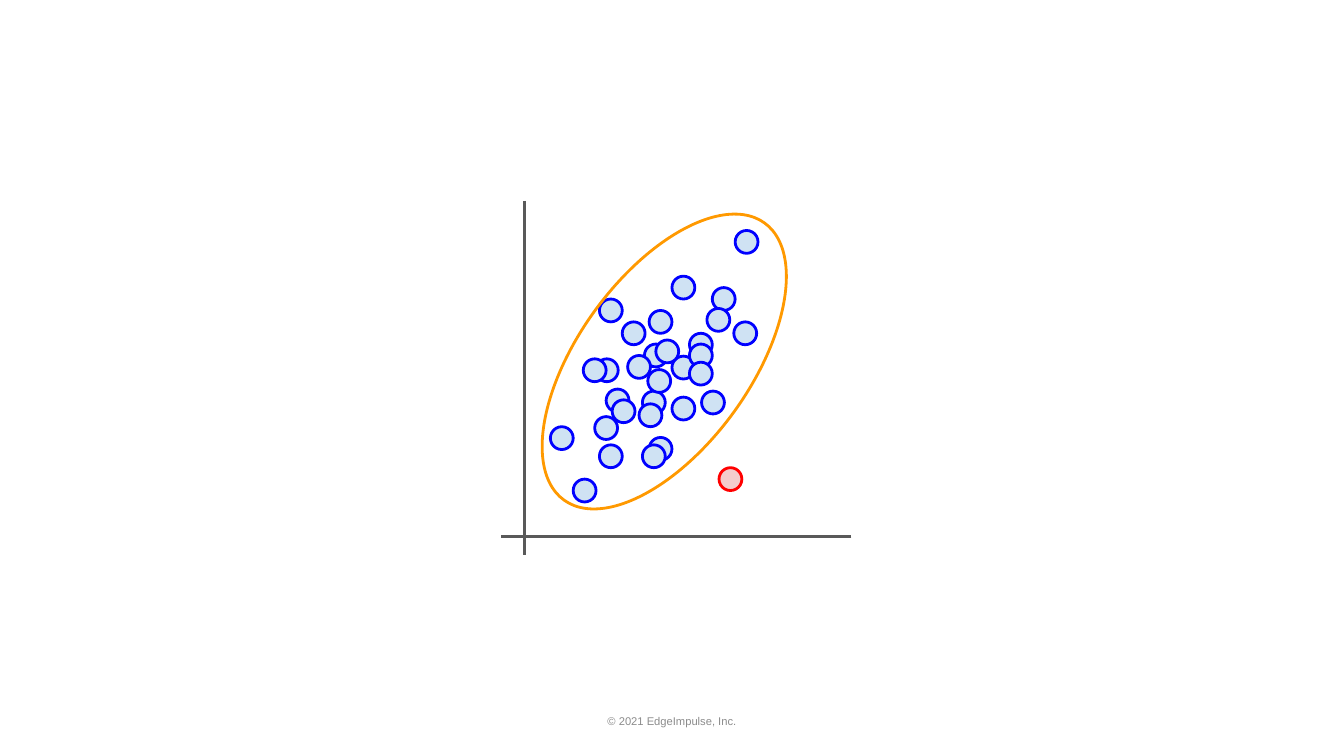
from dataclasses import dataclass

from pptx import Presentation
from pptx.dml.color import RGBColor
from pptx.enum.shapes import MSO_CONNECTOR, MSO_SHAPE
from pptx.enum.text import MSO_ANCHOR, PP_ALIGN
from pptx.oxml.ns import qn
from pptx.util import Inches, Pt

OVAL = MSO_SHAPE.OVAL
STRAIGHT = MSO_CONNECTOR.STRAIGHT
MIDDLE = MSO_ANCHOR.MIDDLE
CENTER = PP_ALIGN.CENTER
BLANK_LAYOUT = 6

WIDTH, HEIGHT = 20, 11.25
DOT = 0.34


@dataclass(frozen=True)
class Theme:
    font: str = "Arial"
    small: int = 12
    stroke: int = 3
    background: str = "FFFFFF"
    axis: str = "595959"
    normal_fill: str = "CFE2F3"
    normal_line: str = "0000FF"
    outlier_fill: str = "F4CCCC"
    outlier_line: str = "FF0000"
    boundary: str = "FF9900"
    footer: str = "8C8C8C"


THEME = Theme()

# Left and top of each sample, in inches, from back to front
NORMAL_SAMPLES = [
    (8.92, 4.45), (9.66, 4.62), (9.26, 4.79), (9.02, 5.79), (9.59, 5.12),
    (10.26, 4.96), (9.56, 5.82), (10, 4.11), (10, 5.3), (9.66, 6.51),
    (10.26, 5.12), (8.86, 5.34), (8.92, 6.62), (10.6, 4.28), (8.85, 6.2),
    (8.19, 6.35), (10.94, 3.43), (8.68, 5.34), (10.52, 4.59), (9.51, 6.01),
    (10.92, 4.79), (8.53, 7.13), (9.56, 6.62), (10.44, 5.82), (10, 5.91),
    (9.34, 5.29), (9.64, 5.5), (10.26, 5.39), (9.76, 5.06), (9.11, 5.95),
]
OUTLIER = (10.7, 6.96)


def color(value):
    return RGBColor.from_string(value)


def add_axis(page, start, end):
    axis = page.shapes.add_connector(STRAIGHT, *map(Inches, start + end))
    axis.line.color.rgb = color(THEME.axis)
    axis.line.width = Pt(THEME.stroke)
    properties = axis.element.spPr
    properties.append(properties.makeelement(qn("a:effectLst"), {}))


def add_ellipse(page, place, size, line, fill=None, rotation=0):
    ellipse = page.shapes.add_shape(OVAL, *map(Inches, place + size))
    ellipse.shadow.inherit = False
    ellipse.rotation = rotation
    if fill:
        ellipse.fill.solid()
        ellipse.fill.fore_color.rgb = color(fill)
    else:
        ellipse.fill.background()
    ellipse.line.color.rgb = color(line)
    ellipse.line.width = Pt(THEME.stroke)


def add_footer(page, text):
    width, height = 6.33, 0.6
    box = page.shapes.add_textbox(
        Inches((WIDTH - width) / 2), Inches(10.43), Inches(width), Inches(height))
    frame = box.text_frame
    frame.word_wrap = True
    frame.vertical_anchor = MIDDLE
    para = frame.paragraphs[0]
    para.alignment = CENTER
    span = para.add_run()
    span.text = text
    span.font.name = THEME.font
    span.font.size = Pt(THEME.small)
    span.font.color.rgb = color(THEME.footer)


def main():
    deck = Presentation()
    deck.slide_width, deck.slide_height = Inches(WIDTH), Inches(HEIGHT)
    page = deck.slides.add_slide(deck.slide_layouts[BLANK_LAYOUT])
    page.background.fill.solid()
    page.background.fill.fore_color.rgb = color(THEME.background)

    # Axes
    add_axis(page, (7.8, 2.99), (7.8, 8.26))
    add_axis(page, (12.67, 7.98), (7.45, 7.98))

    # Samples, and the one that stands apart
    for place in NORMAL_SAMPLES:
        add_ellipse(page, place, (DOT, DOT), THEME.normal_line, THEME.normal_fill)
    add_ellipse(page, OUTLIER, (DOT, DOT), THEME.outlier_line, THEME.outlier_fill)

    # Boundary of the normal samples
    add_ellipse(page, (7.34, 4.1), (5.09, 2.56), THEME.boundary, rotation=305.9)

    add_footer(page, "© 2021 EdgeImpulse, Inc.")
    deck.save("out.pptx")


if __name__ == "__main__":
    main()
